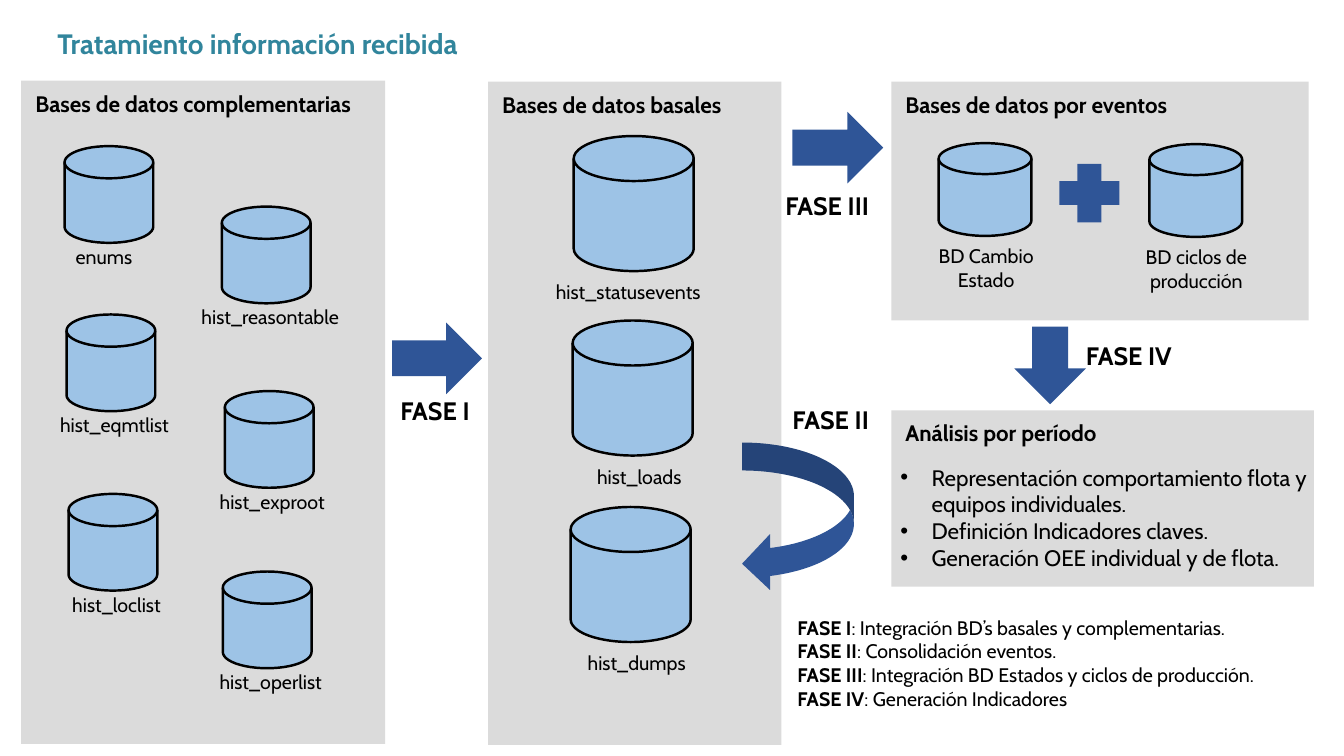
"""Build the slide on the treatment of received information: databases, phases and analysis."""
from lxml import etree
from pptx import Presentation
from pptx import util as u
from pptx.dml.color import RGBColor
from pptx.enum import shapes, text
from pptx.oxml.ns import qn

TEAL = RGBColor(0x31, 0x85, 0x9C)
BLACK = RGBColor(0, 0, 0)
GREY = RGBColor(0xDB, 0xDB, 0xDB)
SKY = RGBColor(0x9D, 0xC3, 0xE6)
NAVY = RGBColor(0x2F, 0x55, 0x97)
FONT = "Cabin"
CELL = u.Inches(0.1)
KIND = shapes.MSO_SHAPE

deck = Presentation()
deck.slide_width, deck.slide_height = u.Inches(13.33), u.Inches(7.5)
slide = deck.slides.add_slide(deck.slide_layouts[5])


def draw(kind, column, row, columns, rows, colour, outlined=False):
    figure = slide.shapes.add_shape(kind, *(int(n * CELL) for n in (column, row, columns, rows)))
    figure.shadow.inherit = False
    figure.fill.solid()
    figure.fill.fore_color.rgb = colour
    if outlined:
        figure.line.color.rgb = BLACK
        figure.line.width = u.Pt(1.75)
    else:
        figure.line.fill.background()
    return figure


def write(box, place, size, paragraphs, colour=BLACK, align=text.PP_ALIGN.LEFT, wrap=True):
    box.left, box.top, box.width, box.height = (int(n * CELL) for n in place)
    frame = box.text_frame
    frame.margin_left = frame.margin_top = frame.margin_bottom = 0
    frame.margin_right = CELL
    frame.auto_size = text.MSO_AUTO_SIZE.NONE
    frame.vertical_anchor = text.MSO_ANCHOR.TOP
    frame.word_wrap = wrap
    for index, runs in enumerate(paragraphs):
        paragraph = frame.add_paragraph() if index else frame.paragraphs[0]
        paragraph.alignment = align
        for words, bold in runs:
            run = paragraph.add_run()
            run.text = words
            run.font.name, run.font.size, run.font.bold = FONT, u.Pt(size), bold
            run.font.color.rgb = colour
    return frame


write(slide.shapes.title, (5.7, 2.6, 48.2, 4.2), 20,
      [[("Tratamiento información recibida", True)]], TEAL, wrap=False)

panels = [
    ("Bases de datos complementarias", 2.1, 8, 36.1, 65.8),
    ("Bases de datos basales", 48.4, 8.1, 29.1, 65.8),
    ("Bases de datos por eventos", 88.4, 8.1, 41.4, 23.7),
    ("Análisis por período", 88.4, 40.7, 41.9, 17.5),
]
for heading, column, row, columns, rows in panels:
    draw(KIND.RECTANGLE, column, row, columns, rows, GREY)
    write(slide.shapes.add_textbox(0, 0, 0, 0), (column + 1.4, row + 0.9, columns - 1, 2.7), 16,
          [[(heading, True)]])

complementary = [
    ("enums", 6.4, 14.5, 7.5, 6.6),
    ("hist_reasontable", 22, 20.5, 19.2, 16.2),
    ("hist_eqmtlist", 6.6, 31.2, 5.6, 12.5),
    ("hist_exproot", 22.3, 38.8, 21.5, 12),
    ("hist_loclist", 6.8, 49, 6.8, 10.5),
    ("hist_operlist", 22.1, 56.7, 21.4, 11.9),
]
base = [
    ("hist_statusevents", 56.9, 13.5, 54.7, 16.2),
    ("hist_loads", 56.8, 31.8, 59, 9.8),
    ("hist_dumps", 56.6, 50.3, 58.2, 10.9),
]
events = [
    ("BD Cambio Estado", 93.1, 14.2, 92.6, 11.4),
    ("BD ciclos de producción", 114, 14.3, 112.6, 13.1),
]
families = [
    (complementary, 8.8, 9.6, 0.2, 2.4, False),
    (base, 11.9, 13.4, 0.9, 2.4, False),
    (events, 9.2, 9.2, 0.8, 4.7, True),
]
for databases, columns, rows, gap, label_rows, wrap in families:
    for name, column, row, label_column, label_columns in databases:
        draw(KIND.FLOWCHART_MAGNETIC_DISK, column, row, columns, rows, SKY, True)
        write(slide.shapes.add_textbox(0, 0, 0, 0),
              (label_column, row + rows + gap, label_columns, label_rows), 14,
              [[(name, False)]], align=text.PP_ALIGN.CENTER, wrap=wrap)

phases = [
    ("FASE I", KIND.RIGHT_ARROW, (38.9, 32, 8.9, 7.1), 0, (39.7, 39.2)),
    ("FASE II", KIND.CURVED_LEFT_ARROW, (73.6, 43.9, 11.1, 14.8), 0, (78.6, 40.1)),
    ("FASE III", KIND.RIGHT_ARROW, (78.6, 11.1, 9, 7.1), 0, (77.9, 18.9)),
    ("FASE IV", KIND.RIGHT_ARROW, (100.3, 32.7, 7.7, 7.1), 90, (107.7, 33.8)),
]
for phase, kind, place, turn, corner in phases:
    draw(kind, *place, NAVY).rotation = turn
    write(slide.shapes.add_textbox(0, 0, 0, 0), (*corner, 10.5, 3), 18, [[(phase, True)]], wrap=False)

plus = draw(KIND.MATH_PLUS, 104, 15.2, 8.1, 7.9, NAVY)
plus.adjustments[0] = 0.3

findings = [
    "Representación comportamiento flota y equipos individuales.",
    "Definición Indicadores claves.",
    "Generación OEE individual y de flota.",
]
analysis = write(slide.shapes.add_textbox(0, 0, 0, 0), (89.3, 46, 41.9, 10.8), 16,
                 [[(finding, False)] for finding in findings])
for paragraph in analysis.paragraphs:
    properties = paragraph._p.get_or_add_pPr()
    properties.set("marL", str(u.Inches(0.31)))
    properties.set("indent", str(-u.Inches(0.31)))
    etree.SubElement(properties, qn("a:buFont"), typeface="Arial")
    etree.SubElement(properties, qn("a:buChar"), char="•")

meanings = [
    ": Integración BD’s basales y complementarias.",
    ": Consolidación eventos.",
    ": Integración BD Estados y ciclos de producción.",
    ": Generación Indicadores",
]
write(slide.shapes.add_textbox(0, 0, 0, 0), (79.1, 61.1, 54, 9.4), 14,
      [[(phase[0], True), (meaning, False)] for phase, meaning in zip(phases, meanings)])

deck.save("out.pptx")
